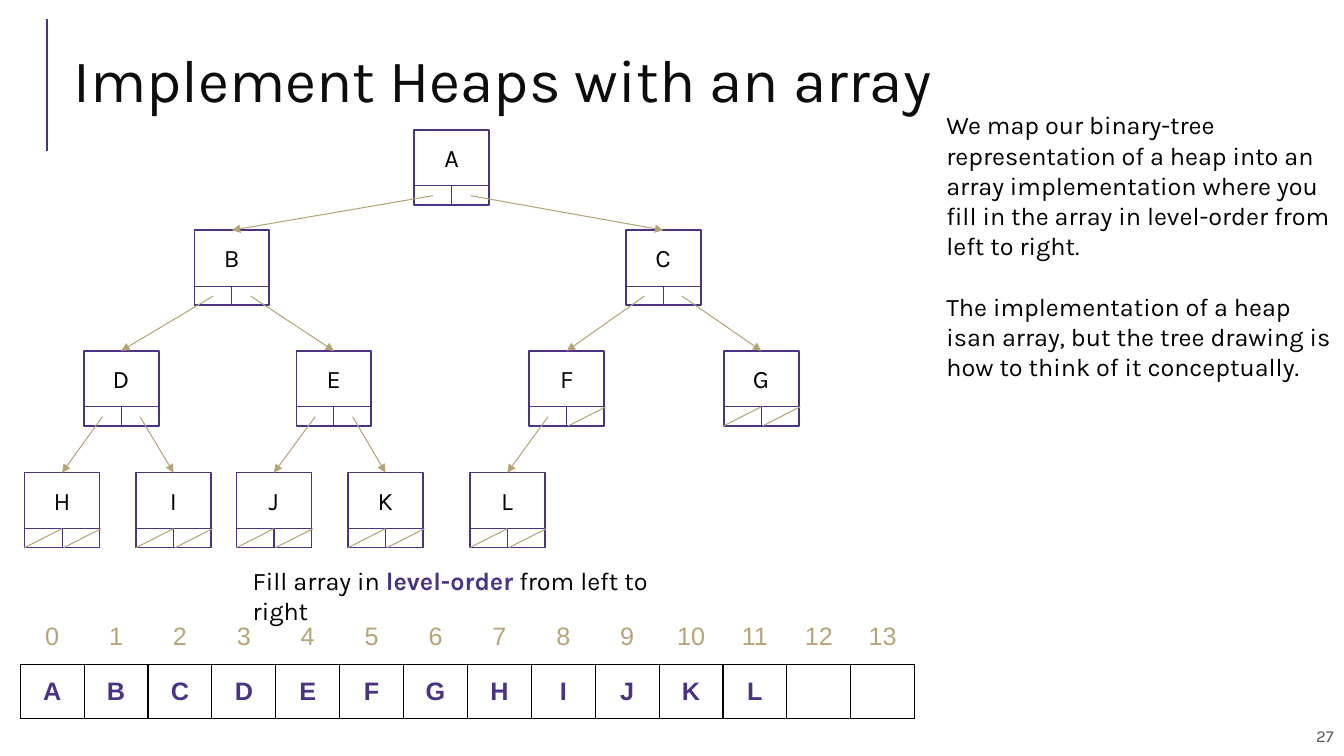
import pptx
import pptx.dml.color
import pptx.enum.shapes
import pptx.enum.text
import pptx.oxml
import pptx.oxml.ns
import pptx.util
from pptx.util import Cm, Pt

RGBColor = pptx.dml.color.RGBColor
PURPLE = RGBColor(0x4C, 0x32, 0x82)
GOLD = RGBColor(0xB6, 0xA4, 0x79)
BLACK = RGBColor(0x00, 0x00, 0x00)
WHITE = RGBColor(0xFF, 0xFF, 0xFF)
TITLE_COLOR = RGBColor(0x0C, 0x0C, 0x0C)
GRAY = RGBColor(0x59, 0x59, 0x59)

PP_ALIGN = pptx.enum.text.PP_ALIGN
MIDDLE = pptx.enum.text.MSO_ANCHOR.MIDDLE
TOP = pptx.enum.text.MSO_ANCHOR.TOP

# Heap in level order; the children of index i are 2i + 1 and 2i + 2.
HEAP = "ABCDEFGHIJKL"
NODE_LEFTS = [10.44, 4.9, 15.77, 2.11, 7.47, 13.34, 18.24,
              0.62, 3.43, 5.96, 8.77, 11.84]
LEVEL_TOPS = [3.27, 5.8, 8.84, 11.91]
NODE_SIZE = 1.89
HALF = NODE_SIZE / 2
DIVIDER = 1.41

ARRAY_LENGTH = 14
CELL_WIDTH = 1.61
CELL_HEIGHT = 1.37


def format_runs(paragraph, size, color, font="Karla", bold=False):
    for run in paragraph.runs:
        run.font.name = font
        run.font.size = Pt(size)
        run.font.color.rgb = color
        run.font.bold = bold


def add_text(slide, text, left, top, width, height, size=18, color=BLACK,
             align=PP_ALIGN.LEFT, anchor=TOP):
    box = slide.shapes.add_textbox(Cm(left), Cm(top), Cm(width), Cm(height))
    frame = box.text_frame
    frame.word_wrap = True
    frame.vertical_anchor = anchor
    frame.text = text
    for paragraph in frame.paragraphs:
        paragraph.alignment = align
        format_runs(paragraph, size, color)
    return frame


def add_line(slide, start, end, color, width=0.75, arrow=False):
    line = slide.shapes.add_connector(
        pptx.enum.shapes.MSO_CONNECTOR.STRAIGHT,
        Cm(start[0]), Cm(start[1]), Cm(end[0]), Cm(end[1]))
    line.line.color.rgb = color
    line.line.width = Pt(width)
    if arrow:
        tail = pptx.oxml.parse_xml(
            f'<a:tailEnd {pptx.oxml.ns.nsdecls("a")} type="triangle"/>')
        line.line._get_or_add_ln().append(tail)
    properties = line._element.spPr
    properties.append(pptx.oxml.parse_xml(
        f'<a:effectLst {pptx.oxml.ns.nsdecls("a")}/>'))


def node_position(index):
    level = (index + 1).bit_length() - 1
    return NODE_LEFTS[index], LEVEL_TOPS[level]


def add_node(slide, index):
    """Draw a node box with its letter and two pointer cells."""
    left, top = node_position(index)
    box = slide.shapes.add_shape(
        pptx.enum.shapes.MSO_SHAPE.RECTANGLE,
        Cm(left), Cm(top), Cm(NODE_SIZE), Cm(NODE_SIZE))
    box.shadow.inherit = False
    box.fill.background()
    box.line.color.rgb = PURPLE
    box.line.width = Pt(1.25)
    add_text(slide, HEAP[index], left + 0.48, top + 0.19, 0.92, 1.02,
             align=PP_ALIGN.CENTER)
    divider, bottom, middle = top + DIVIDER, top + NODE_SIZE, left + HALF
    add_line(slide, (left, divider), (left + NODE_SIZE, divider), PURPLE)
    add_line(slide, (middle, divider), (middle, bottom), PURPLE)


def add_pointers(slide, index):
    """Draw an arrow to each child, or a slash where there is none."""
    left, top = node_position(index)
    for side in range(2):
        child = 2 * index + 1 + side
        cell_left = left + side * HALF
        if child < len(HEAP):
            child_left, child_top = node_position(child)
            add_line(slide, (cell_left + HALF / 2, top + 1.66),
                     (child_left + HALF, child_top), GOLD, arrow=True)
        else:
            slash_left = cell_left + side * 0.04
            add_line(slide, (slash_left, top + NODE_SIZE),
                     (slash_left + HALF, top + DIVIDER), GOLD)


def add_borders(cell, sides):
    properties = cell._tc.get_or_add_tcPr()
    for side in sides:
        properties.append(pptx.oxml.parse_xml(
            f'<a:ln{side} {pptx.oxml.ns.nsdecls("a")} w="12700"><a:solidFill>'
            f'<a:srgbClr val="{BLACK}"/></a:solidFill></a:ln{side}>'))


def fill_cell(cell, text, color, bold, borders):
    add_borders(cell, borders)
    cell.fill.solid()
    cell.fill.fore_color.rgb = WHITE
    cell.vertical_anchor = MIDDLE
    cell.text = text
    paragraph = cell.text_frame.paragraphs[0]
    paragraph.alignment = PP_ALIGN.CENTER
    format_runs(paragraph, 18, color, "Arial", bold)


def add_heap_array(slide):
    table = slide.shapes.add_table(
        2, ARRAY_LENGTH, Cm(0.51), Cm(15.37),
        Cm(ARRAY_LENGTH * CELL_WIDTH), Cm(2 * CELL_HEIGHT)).table
    table.first_row = False
    table.horz_banding = False
    for row in table.rows:
        row.height = Cm(CELL_HEIGHT)
    for index, column in enumerate(table.columns):
        column.width = Cm(CELL_WIDTH)
        fill_cell(table.cell(0, index), str(index), GOLD, False, "B")
        fill_cell(table.cell(1, index), HEAP[index:index + 1], PURPLE, True,
                  "LRTB")


def add_caption(slide):
    frame = add_text(slide, "Fill array in ", 6.12, 14.12, 11.35, 1.02)
    paragraph = frame.paragraphs[0]
    for text in ("level-order", " from left to right"):
        paragraph.add_run().text = text
    format_runs(paragraph, 18, BLACK)
    keyword = paragraph.runs[1].font
    keyword.bold = True
    keyword.color.rgb = PURPLE


def main():
    presentation = pptx.Presentation()
    presentation.slide_width = Cm(33.87)
    presentation.slide_height = Cm(19.05)
    slide = presentation.slides.add_slide(presentation.slide_layouts[6])

    add_line(slide, (1.19, 3.81), (1.19, 0.48), PURPLE, 1.5)
    add_text(slide, "27", 21.97, 18.03, 11.89, 1.02, 12, GRAY,
             PP_ALIGN.RIGHT, MIDDLE)
    title = add_text(slide, "Implement Heaps with an array",
                     1.6, 0.74, 31.06, 2.82, 43, TITLE_COLOR, anchor=MIDDLE)
    title.paragraphs[0].line_spacing = 0.8

    for index in range(len(HEAP)):
        add_node(slide, index)
    for index in range(len(HEAP)):
        add_pointers(slide, index)

    add_heap_array(slide)
    add_caption(slide)
    explanation = add_text(
        slide,
        "We map our binary-tree representation of a heap into an array "
        "implementation where you fill in the array in level-order from left "
        "to right.\n"
        "The implementation of a heap isan array, but the tree drawing is how "
        "to think of it conceptually.",
        23.6, 2.64, 10.26, 7.19)
    explanation.paragraphs[1].space_before = Pt(21.6)

    presentation.save("out.pptx")


if __name__ == "__main__":
    main()
